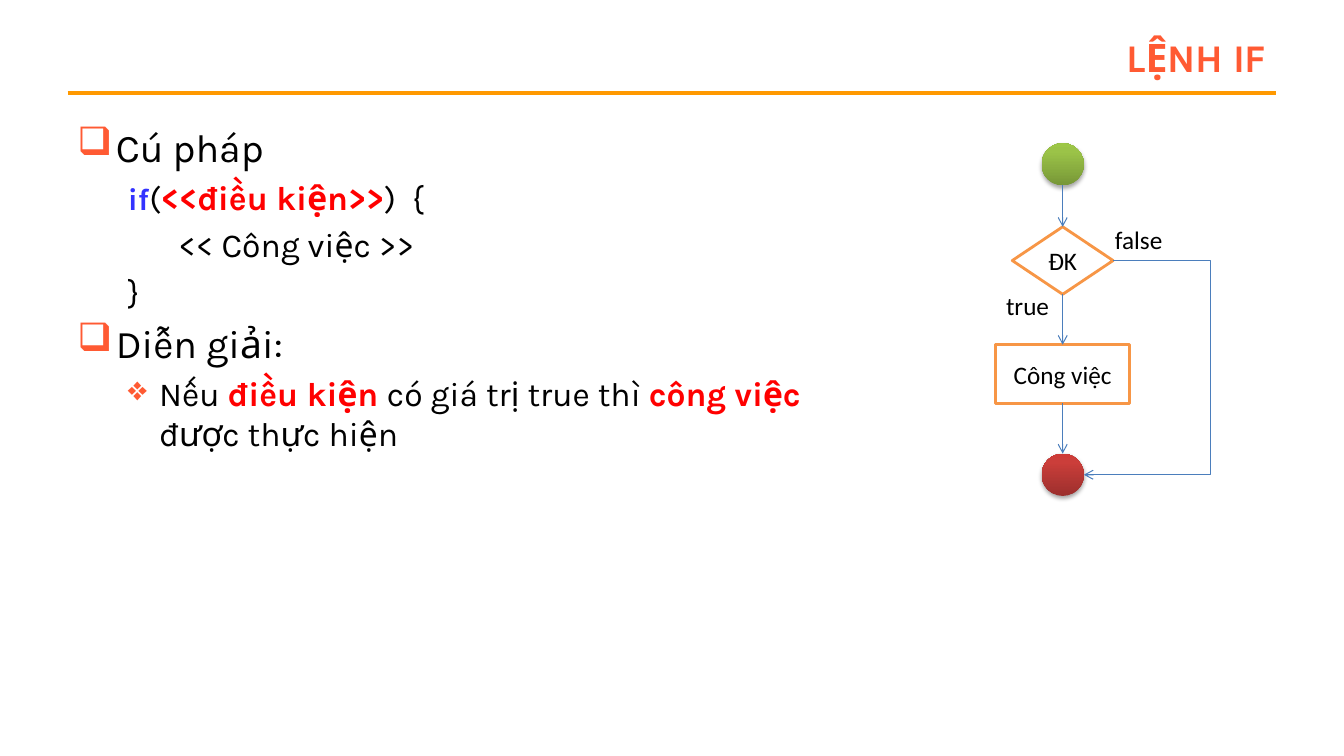
"""Build the slide that explains the IF statement with a flowchart."""
from lxml.etree import SubElement
from pptx import Presentation
from pptx.dml.color import RGBColor
from pptx.enum.shapes import MSO_CONNECTOR, MSO_SHAPE
from pptx.enum.text import MSO_ANCHOR, PP_ALIGN
from pptx.oxml import parse_xml
from pptx.oxml.ns import nsdecls, qn
from pptx.util import Inches, Pt

ORANGE, RED, BLUE, BLACK = "FF5A33", "FF0000", "3333FF", "000000"
RULE, BORDER, ARROW, WHITE = "FF9900", "F79646", "4B7EBC", "FFFFFF"

TITLE = "LỆNH IF"
PLAIN = {"size": 24}
KEY = {"size": 24, "color": RED, "bold": True}
HEADING = {"size": 28}
KEYWORD = {"size": 22, "color": BLUE, "bold": True}
TOPIC = {"bullet": "❑", "margin": 0.38, "indent": -0.38}
CODE = {"bullet": None, "margin": 0.5, "indent": 0}
POINT = {"bullet": "❖", "margin": 0.81, "indent": -0.31}
BODY = [
    (TOPIC, [("Cú pháp", HEADING)]),
    (CODE, [("if", KEYWORD), ("(", PLAIN), ("<<điều kiện>>", KEY), (")  {", PLAIN)]),
    (CODE, [("\t<< Công việc >>", PLAIN)]),
    (CODE, [("}", PLAIN)]),
    (TOPIC, [("Diễn giải:", HEADING)]),
    (POINT, [("Nếu ", PLAIN), ("điều kiện ", KEY), ("có giá trị true thì ", PLAIN),
             ("công việc ", KEY), ("được thực hiện", PLAIN)]),
]

AXIS, DOT, BYPASS = 10.54, 0.42, 12.01
START_TOP, END_TOP = 1.42, 4.5
DOTS = [
    (START_TOP, [(0, "779737"), (80, "9BC348"), (100, "9DC746")]),
    (END_TOP, [(0, "9C2F2D"), (80, "CB3E3A"), (100, "CE3B37")]),
]
CONDITION = {"kind": MSO_SHAPE.FLOWCHART_DECISION, "text": "ĐK",
             "top": 2.25, "width": 1, "height": 0.67}
TASK = {"kind": MSO_SHAPE.RECTANGLE, "text": "Công việc",
        "top": 3.42, "width": 1.33, "height": 0.58}
BRANCHES = [("true", 9.88, 2.83, 0.63, 0.4), ("false", 10.96, 2.18, 0.68, 0.4)]


def rgb(color):
    return RGBColor.from_string(color)


def add_run(paragraph, text, size, color=BLACK, bold=False, name="Karla"):
    run = paragraph.add_run()
    run.text = text
    for key, setting in {"size": Pt(size), "bold": bold, "name": name}.items():
        setattr(run.font, key, setting)
    run.font.color.rgb = rgb(color)


def add_textbox(slide, left, top, width, height, wrap):
    frame = slide.shapes.add_textbox(
        *map(Inches, (left, top, width, height))).text_frame
    frame.word_wrap = wrap
    return frame


def add_link(slide, begin, end, color=ARROW, weight=0.75, arrow=True,
             kind=MSO_CONNECTOR.STRAIGHT):
    link = slide.shapes.add_connector(kind, *map(Inches, begin + end))
    link.line.color.rgb = rgb(color)
    link.line.width = Pt(weight)
    if arrow:
        SubElement(link.line._get_or_add_ln(), qn("a:tailEnd"), type="arrow")
    SubElement(link._element.spPr, qn("a:effectLst"))
    return link


def add_shape(slide, kind, top, width, height):
    shape = slide.shapes.add_shape(
        kind, *map(Inches, (AXIS - width / 2, top, width, height)))
    shape.shadow.inherit = False
    return shape


def add_dot(slide, top, stops):
    dot = add_shape(slide, MSO_SHAPE.OVAL, top, DOT, DOT)
    dot.line.fill.background()
    stop_list = "".join(
        f'<a:gs pos="{place * 1000}"><a:srgbClr val="{color}"/></a:gs>'
        for place, color in stops)
    properties = dot._element.spPr
    properties.find(qn("a:prstGeom")).addnext(parse_xml(
        f'<a:gradFill {nsdecls("a")} rotWithShape="1"><a:gsLst>{stop_list}</a:gsLst>'
        '<a:lin ang="16200000" scaled="0"/></a:gradFill>'))
    properties.find(qn("a:effectLst")).append(parse_xml(
        f'<a:outerShdw {nsdecls("a")} blurRad="{Pt(3.1)}" dist="{Pt(1.8)}" '
        'dir="5400000" rotWithShape="0"><a:srgbClr val="000000">'
        '<a:alpha val="35000"/></a:srgbClr></a:outerShdw>'))


def add_step(slide, kind, text, top, width, height):
    step = add_shape(slide, kind, top, width, height)
    step.fill.solid()
    step.fill.fore_color.rgb = rgb(WHITE)
    step.line.color.rgb = rgb(BORDER)
    step.line.width = Pt(2)
    frame = step.text_frame
    layout = {"margin_left": 0, "margin_right": 0, "word_wrap": True,
              "vertical_anchor": MSO_ANCHOR.MIDDLE}
    for key, setting in layout.items():
        setattr(frame, key, setting)
    frame.paragraphs[0].alignment = PP_ALIGN.CENTER
    add_run(frame.paragraphs[0], text, 18, name="Calibri")


def add_title(slide):
    title = slide.shapes.title
    place = {"left": 3, "top": 0.3, "width": 9.66, "height": 0.53}
    for key, length in place.items():
        setattr(title, key, Inches(length))
    title.text_frame.vertical_anchor = MSO_ANCHOR.MIDDLE
    heading = title.text_frame.paragraphs[0]
    heading.alignment = PP_ALIGN.RIGHT
    add_run(heading, TITLE, 28, ORANGE, True)


def add_body(slide):
    frame = add_textbox(slide, 0.67, 1.17, 7.58, 5.75, True)
    for number, (level, runs) in enumerate(BODY):
        paragraph = frame.add_paragraph() if number else frame.paragraphs[0]
        paragraph.space_before = Pt(round(0.2 * runs[-1][1]["size"], 1))
        properties = paragraph._p.get_or_add_pPr()
        properties.set("marL", str(Inches(level["margin"])))
        properties.set("indent", str(Inches(level["indent"])))
        if level["bullet"]:
            bullet_color = SubElement(properties, qn("a:buClr"))
            SubElement(bullet_color, qn("a:srgbClr"), val=ORANGE)
            SubElement(properties, qn("a:buChar"), char=level["bullet"])
        for text, style in runs:
            add_run(paragraph, text, **style)


def add_flowchart(slide):
    for top, stops in DOTS:
        add_dot(slide, top, stops)
    for step in (CONDITION, TASK):
        add_step(slide, **step)

    spans = [(START_TOP, DOT)] + [(s["top"], s["height"]) for s in (CONDITION, TASK)]
    next_tops = [CONDITION["top"], TASK["top"], END_TOP]
    for (top, height), next_top in zip(spans, next_tops):
        add_link(slide, (AXIS, top + height), (AXIS, next_top))

    begin = (AXIS + CONDITION["width"] / 2, CONDITION["top"] + CONDITION["height"] / 2)
    end = (AXIS + DOT / 2, END_TOP + DOT / 2)
    bypass = add_link(slide, begin, end, kind=MSO_CONNECTOR.ELBOW)
    bend = round((BYPASS - begin[0]) / (end[0] - begin[0]) * 100000)
    guides = bypass._element.spPr.find(qn("a:prstGeom")).get_or_add_avLst()
    SubElement(guides, qn("a:gd"), name="adj1", fmla=f"val {bend}")

    for text, *place in BRANCHES:
        frame = add_textbox(slide, *place, False)
        add_run(frame.paragraphs[0], text, 18, name="Calibri")


def main():
    deck = Presentation()
    deck.slide_width, deck.slide_height = Inches(13.33), Inches(7.5)
    slide = deck.slides.add_slide(deck.slide_layouts[5])
    add_link(slide, (0.67, 0.92), (12.66, 0.92), RULE, 3, False)
    add_title(slide)
    add_body(slide)
    add_flowchart(slide)
    deck.save("out.pptx")


if __name__ == "__main__":
    main()
